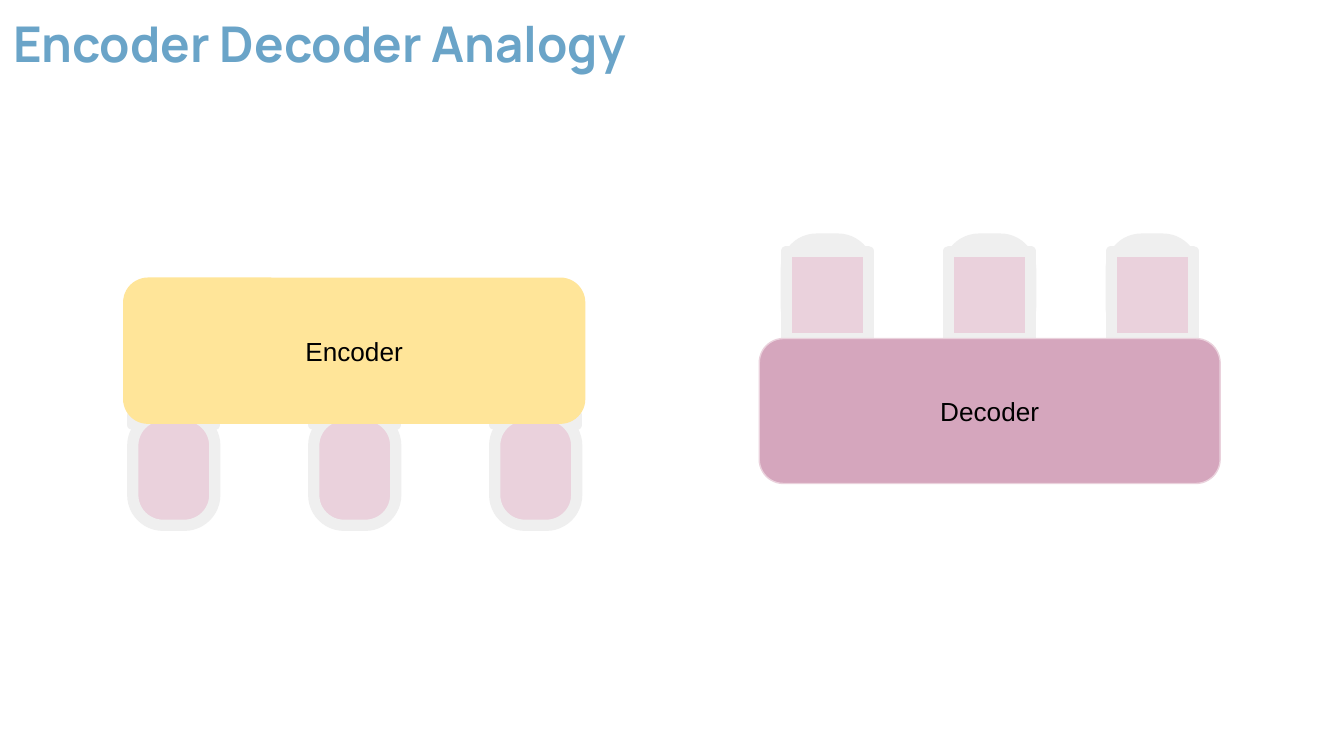
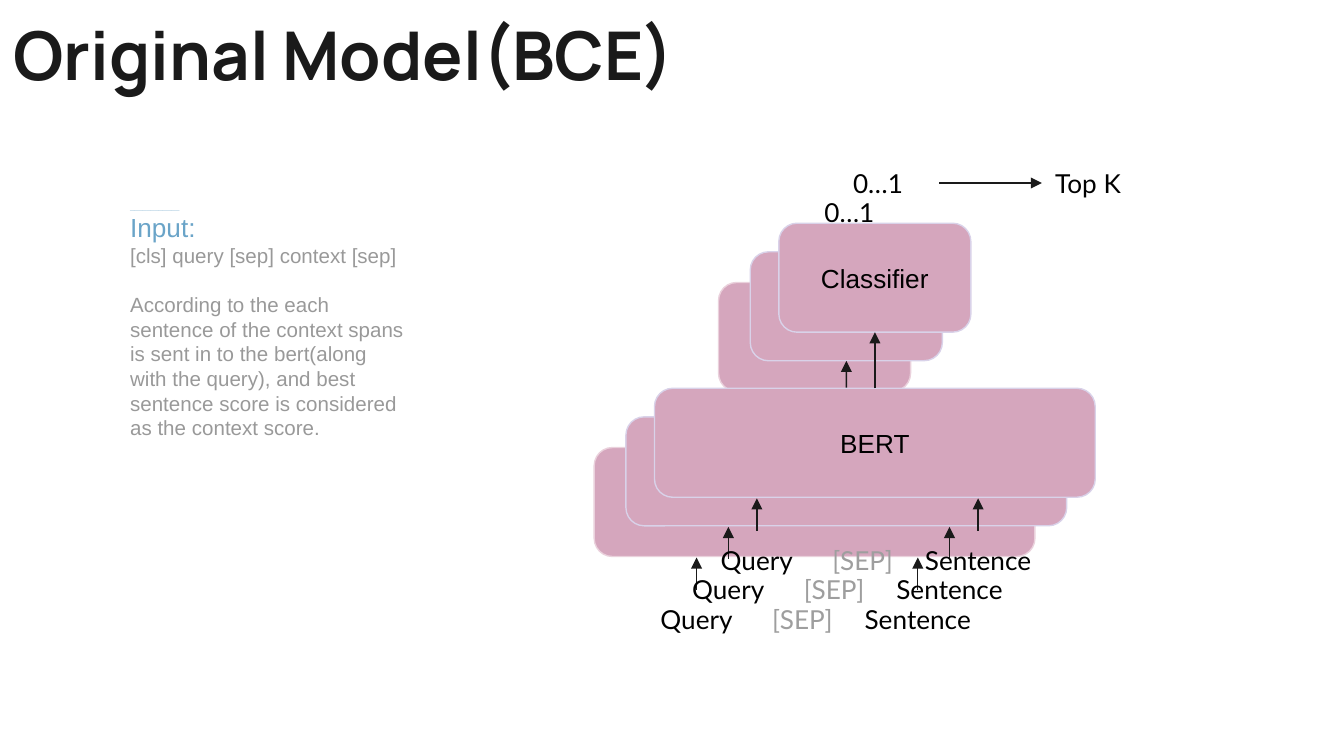
from dataclasses import dataclass

from pptx import Presentation
from pptx.dml.color import RGBColor
from pptx.enum.shapes import MSO_CONNECTOR as CONN, MSO_SHAPE as SHAPE
from pptx.enum.text import MSO_ANCHOR as ANCHOR, MSO_AUTO_SIZE as AUTO, PP_ALIGN as ALIGN
from pptx.oxml import parse_xml
from pptx.oxml.ns import nsdecls
from pptx.util import Cm, Pt


@dataclass(frozen=True)
class Theme:
    blue: str = "6AA4C8"
    ink: str = "1A1A1A"
    black: str = "000000"
    gray: str = "999999"
    separator: str = "9E9E9E"
    yellow: str = "FFE599"
    mauve: str = "D5A6BD"
    pink: str = "EAD1DC"
    lilac: str = "D9D2E9"
    frame: str = "EFEFEF"
    title_font: str = "Manrope"
    box_font: str = "Arial"
    label_font: str = "Lato"
    label_size: float = 14
    body_size: float = 11
    rule_size: float = 4
    thin: float = 0.75
    thick: float = 6


T = Theme()
TOP, LEFT, BOTTOM, RIGHT = range(4)
ROUND = 0.37


# Shared elements
def rgb(value):
    return RGBColor.from_string(value)


def set_font(p, name, size, color, bold=False):
    p.font.name, p.font.size, p.font.bold = name, Pt(size), bold
    p.font.color.rgb = rgb(color)


def set_frame(tf, anchor):
    tf.word_wrap = True
    tf.auto_size = AUTO.NONE
    tf.vertical_anchor = anchor
    tf.margin_left = tf.margin_right = tf.margin_top = tf.margin_bottom = Cm(0.25)


def add_title(slide, text, size, color, height):
    sp = slide.shapes.title
    sp.left, sp.top, sp.width, sp.height = Cm(0), Cm(0), Cm(21.36), Cm(height)
    set_frame(sp.text_frame, ANCHOR.TOP)
    p = sp.text_frame.paragraphs[0]
    p.text, p.alignment = text, ALIGN.LEFT
    set_font(p, T.title_font, size, color, bold=True)


def add_box(slide, x, y, w, h, fill, line, text="", weight=T.thin, radius=0.167):
    sp = slide.shapes.add_shape(SHAPE.ROUNDED_RECTANGLE, Cm(x), Cm(y), Cm(w), Cm(h))
    sp.shadow.inherit = False
    sp.adjustments[0] = radius
    sp.fill.solid()
    sp.fill.fore_color.rgb = rgb(fill)
    sp.line.color.rgb = rgb(line)
    sp.line.width = Pt(weight)
    if text:
        write_label(sp, text, T.box_font, T.black)
    return sp


def write_label(sp, text, font, color, align=ALIGN.CENTER):
    set_frame(sp.text_frame, ANCHOR.MIDDLE)
    p = sp.text_frame.paragraphs[0]
    p.text, p.alignment = text, align
    set_font(p, font, T.label_size, color)


def add_label(slide, text, x, y, w, color=T.black, align=ALIGN.CENTER):
    sp = slide.shapes.add_textbox(Cm(x), Cm(y), Cm(w), Cm(1.12))
    write_label(sp, text, T.label_font, color, align)
    return sp


def add_arrow(slide, start, start_side, end=None, end_side=None, rise=0.61):
    """Arrow between two shapes, or straight up by rise when end is None."""
    x, y = start.left + start.width // 2, start.top
    c = slide.shapes.add_connector(CONN.STRAIGHT, x, y, x, y - Cm(rise))
    c.begin_connect(start, start_side)
    if end is not None:
        c.end_connect(end, end_side)
    c.line.color.rgb = rgb(T.ink)
    c.line.width = Pt(T.thin)
    c.line._get_or_add_ln().append(parse_xml(f'<a:tailEnd {nsdecls("a")} type="triangle"/>'))
    c._element.spPr.append(parse_xml(f'<a:effectLst {nsdecls("a")}/>'))


# Slide 1: two tables with chairs
def add_chair_part(slide, x, y, h, fill, radius):
    add_box(slide, x, y, 1.55, h, fill, T.frame, weight=T.thick, radius=radius)


def build_analogy(slide):
    add_title(slide, "Encoder Decoder Analogy", 26.4, T.blue, 1.9)
    for i in range(3):
        # Encoder chair: back bar, then seat
        x = 2.51 + 3.42 * i
        add_chair_part(slide, x, 7.85, 0.18, T.frame, 0)
        add_chair_part(slide, x, 7.85, 2.08, T.pink, ROUND)
        # Decoder chair: rounded back, then seat
        x = 14.86 + 3.07 * i
        add_chair_part(slide, x, 4.52, 1.85, T.frame, ROUND)
        add_chair_part(slide, x, 4.75, 1.65, T.pink, 0)
    add_box(slide, 2.34, 5.26, 8.71, 2.74, T.yellow, T.yellow, "Encoder")
    add_box(slide, 14.35, 6.4, 8.71, 2.74, T.mauve, T.pink, "Decoder")


# Slide 2: input note and stacked models
def add_input_note(slide):
    sp = slide.shapes.add_textbox(Cm(2.21), Cm(3.56), Cm(5.77), Cm(5.59))
    tf = sp.text_frame
    set_frame(tf, ANCHOR.TOP)
    lines = [
        ("____________", T.rule_size, T.blue),
        ("Input:", T.label_size, T.blue),
        ("[cls] query [sep] context [sep]", T.body_size, T.gray),
        ("According to the each sentence of the context spans is sent in to the "
         "bert(along with the query), and best sentence score is considered "
         "as the context score.", T.body_size, T.gray),
    ]
    for i, (text, size, color) in enumerate(lines):
        p = tf.add_paragraph() if i else tf.paragraphs[0]
        p.text = text
        set_font(p, T.box_font, size, color, bold=i == 0)
    tf.paragraphs[0].line_spacing = 1.15
    tf.paragraphs[-1].space_before = Pt(13)


def add_model(slide, dx, dy, line, scored=True, named=False):
    """One layer of the stack, shifted from the front; returns its score label."""
    bert = add_box(slide, 12.37 + dx, 7.34 + dy, 8.33, 2.06, T.mauve, line,
                   "BERT" if named else "")
    classifier = add_box(slide, 14.72 + dx, 4.22 + dy, 3.63, 2.06, T.mauve, line,
                         "Classifier" if named else "")
    for text, x in (("Query", 11.84), ("Sentence", 16.02)):
        word = add_label(slide, text, x + dx, 10.03 + dy, 4.93)
        add_arrow(slide, word, TOP)
    add_label(slide, "[SEP]", 15.44 + dx, 10.03 + dy, 1.73, T.separator)
    if scored:
        add_arrow(slide, bert, TOP, classifier, BOTTOM)
        return add_label(slide, "0…1", 15.44 + dx, 2.9 + dy, 2.31)


def build_model(slide):
    add_title(slide, "Original Model(BCE)", 36, T.ink, 4.22)
    add_input_note(slide)
    # Layers from back to front
    add_model(slide, -1.14, 1.12, T.pink, scored=False)
    add_model(slide, -0.54, 0.54, T.lilac)
    score = add_model(slide, 0, 0, T.lilac, named=True)
    top_k = add_label(slide, "Top K", 19.69, 2.9, 2.21, align=ALIGN.LEFT)
    add_arrow(slide, score, RIGHT, top_k, LEFT)


def main():
    prs = Presentation()
    prs.slide_width, prs.slide_height = Cm(25.4), Cm(14.29)
    title_only = prs.slide_layouts[5]
    for build in (build_analogy, build_model):
        build(prs.slides.add_slide(title_only))
    prs.save("out.pptx")


if __name__ == "__main__":
    main()
